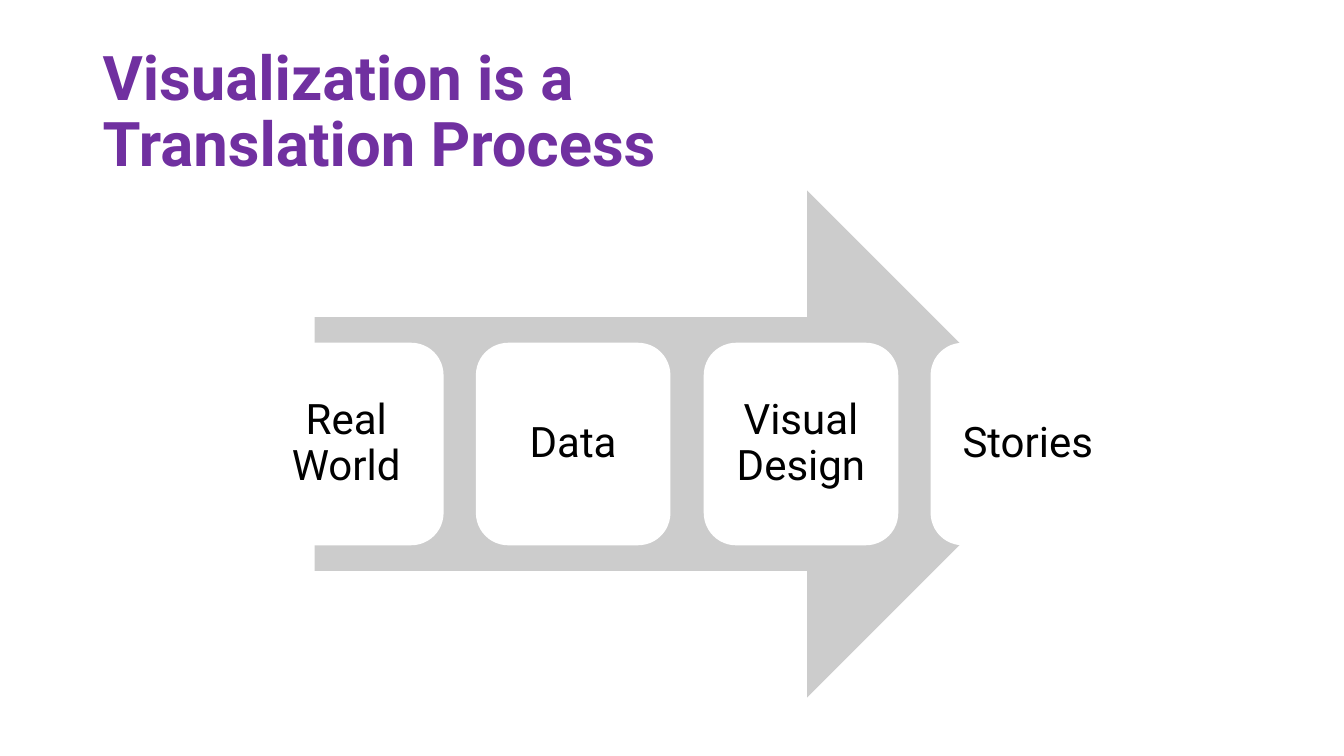
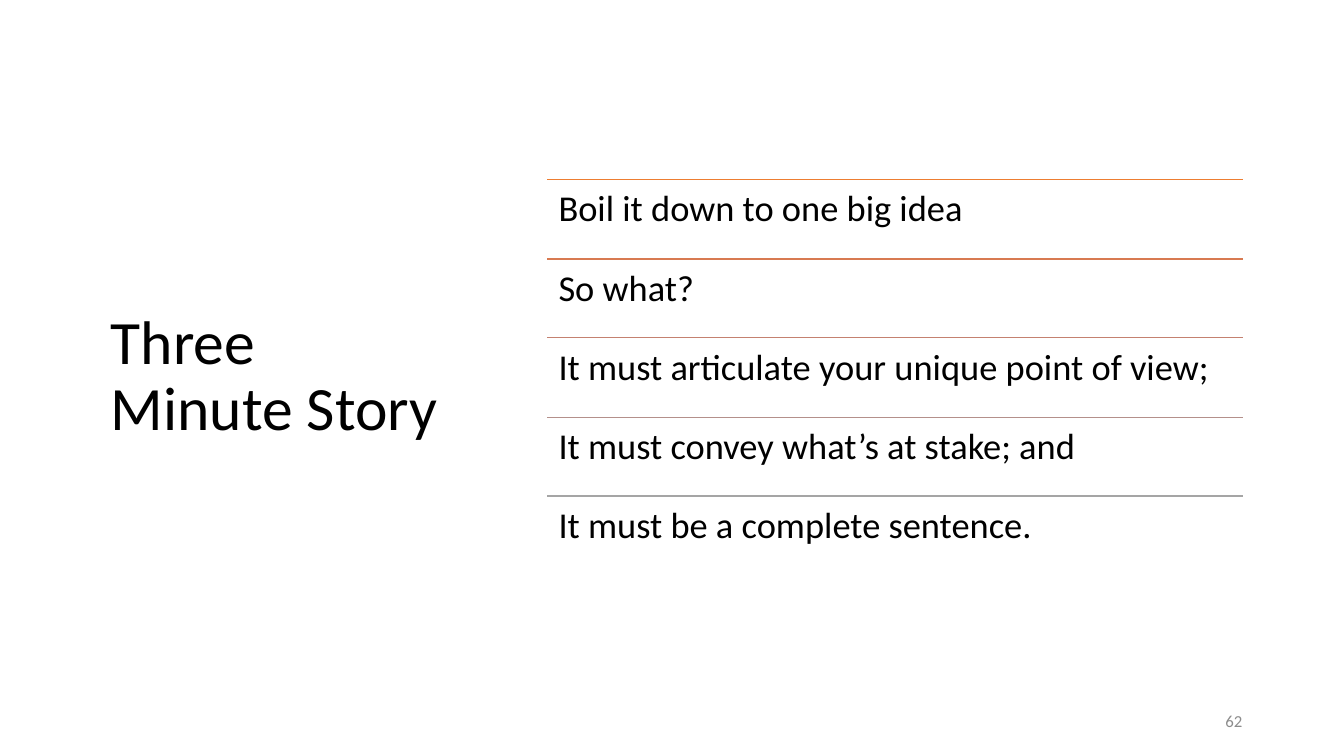
from dataclasses import dataclass

from lxml.etree import SubElement
from pptx import Presentation
from pptx.dml.color import RGBColor
from pptx.enum.shapes import MSO_CONNECTOR, MSO_SHAPE
from pptx.enum.text import MSO_ANCHOR, PP_ALIGN
from pptx.oxml.ns import qn
from pptx.slide import Slide
from pptx.text.text import TextFrame
from pptx.util import Emu, Pt

EMU_PER_PX = 9144
WHITE, BLACK = "FFFFFF", "000000"
PURPLE, ARROW_GRAY, NUMBER_GRAY = "7030A0", "CCCCCC", "8C8C8C"


@dataclass(frozen=True)
class Box:
    left: int
    top: int
    width: int
    height: int


@dataclass(frozen=True)
class Style:
    font: str
    size: int
    color: str = BLACK
    bold: bool = False
    align: PP_ALIGN = PP_ALIGN.LEFT
    anchor: MSO_ANCHOR = MSO_ANCHOR.MIDDLE
    spacing: float = 0.9
    inset_x: int = 10
    inset_y: int = 5


@dataclass(frozen=True)
class Point:
    text: str
    rule_color: str


PURPLE_TITLE = Style("Roboto", 44, PURPLE, bold=True)
PLAIN_TITLE = Style("Calibri", 44)
STAGE = Style("Roboto", 30, align=PP_ALIGN.CENTER, inset_x=12, inset_y=12)
POINT = Style("Calibri", 26, anchor=MSO_ANCHOR.TOP, inset_x=11, inset_y=11)
PAGE_NUMBER = Style("Calibri", 12, NUMBER_GRAY, align=PP_ALIGN.RIGHT, spacing=1.0)

ARROW = Box(312, 189, 740, 503)
FIRST_STAGE = Box(247, 340, 193, 201)
LAST_STAGE_LEFT = 923
STAGES = ["Real World", "Data", "Visual Design", "Stories"]

POINT_LIST = Box(543, 178, 690, 393)
POINTS = [
    Point("Boil it down to one big idea", "ED7D31"),
    Point("So what?", "D87A51"),
    Point("It must articulate your unique point of view;", "C48170"),
    Point("It must convey what’s at stake; and", "B4908B"),
    Point("It must be a complete sentence.", "A5A5A5"),
]


def px(length: int) -> Emu:
    return Emu(length * EMU_PER_PX)


def rgb(color: str) -> RGBColor:
    return RGBColor.from_string(color)


def place(box: Box) -> tuple[Emu, Emu, Emu, Emu]:
    return px(box.left), px(box.top), px(box.width), px(box.height)


def write(frame: TextFrame, lines: list[str], style: Style) -> None:
    frame.word_wrap = True
    frame.vertical_anchor = style.anchor
    frame.margin_left = frame.margin_right = px(style.inset_x)
    frame.margin_top = frame.margin_bottom = px(style.inset_y)
    paragraph = frame.paragraphs[0]
    paragraph.alignment = style.align
    paragraph.line_spacing = style.spacing
    for index, line in enumerate(lines):
        if index:
            paragraph.add_line_break()
        run = paragraph.add_run()
        run.text = line
        run.font.name = style.font
        run.font.size = Pt(style.size)
        run.font.bold = style.bold
        run.font.color.rgb = rgb(style.color)


def add_text(slide: Slide, box: Box, lines: list[str], style: Style) -> None:
    write(slide.shapes.add_textbox(*place(box)).text_frame, lines, style)


def add_filled(slide: Slide, preset: MSO_SHAPE, box: Box, color: str) -> TextFrame:
    shape = slide.shapes.add_shape(preset, *place(box))
    shape.shadow.inherit = False
    shape.fill.solid()
    shape.fill.fore_color.rgb = rgb(color)
    shape.line.fill.background()
    return shape.text_frame


def add_rule(slide: Slide, left: int, top: int, width: int, color: str) -> None:
    rule = slide.shapes.add_connector(
        MSO_CONNECTOR.STRAIGHT, px(left), px(top), px(left + width), px(top)
    )
    rule.line.color.rgb = rgb(color)
    rule.line.width = Pt(1)
    SubElement(rule._element.spPr, qn("a:effectLst"))


def build_translation(slide: Slide) -> None:
    add_filled(slide, MSO_SHAPE.RIGHT_ARROW, ARROW, ARROW_GRAY)
    pitch = (LAST_STAGE_LEFT - FIRST_STAGE.left) / (len(STAGES) - 1)
    for index, stage in enumerate(STAGES):
        left = FIRST_STAGE.left + round(index * pitch)
        box = Box(left, FIRST_STAGE.top, FIRST_STAGE.width, FIRST_STAGE.height)
        write(add_filled(slide, MSO_SHAPE.ROUNDED_RECTANGLE, box, WHITE), [stage], STAGE)
    title_lines = ["Visualization is a ", "Translation Process"]
    add_text(slide, Box(92, 40, 1150, 145), title_lines, PURPLE_TITLE)


def build_story(slide: Slide) -> None:
    add_text(slide, Box(100, 147, 344, 455), ["Three Minute Story"], PLAIN_TITLE)
    row_height = POINT_LIST.height / len(POINTS)
    for index, point in enumerate(POINTS):
        top = POINT_LIST.top + round(index * row_height)
        row = Box(POINT_LIST.left, top, POINT_LIST.width, round(row_height))
        add_rule(slide, row.left, row.top, row.width, point.rule_color)
        add_text(slide, row, [point.text], POINT)
    add_text(slide, Box(942, 695, 300, 40), ["62"], PAGE_NUMBER)


def main() -> None:
    deck = Presentation()
    deck.slide_width, deck.slide_height = px(1333), px(750)
    blank = deck.slide_layouts[6]
    for build in (build_translation, build_story):
        slide = deck.slides.add_slide(blank)
        slide.background.fill.solid()
        slide.background.fill.fore_color.rgb = rgb(WHITE)
        build(slide)
    deck.save("out.pptx")


if __name__ == "__main__":
    main()
